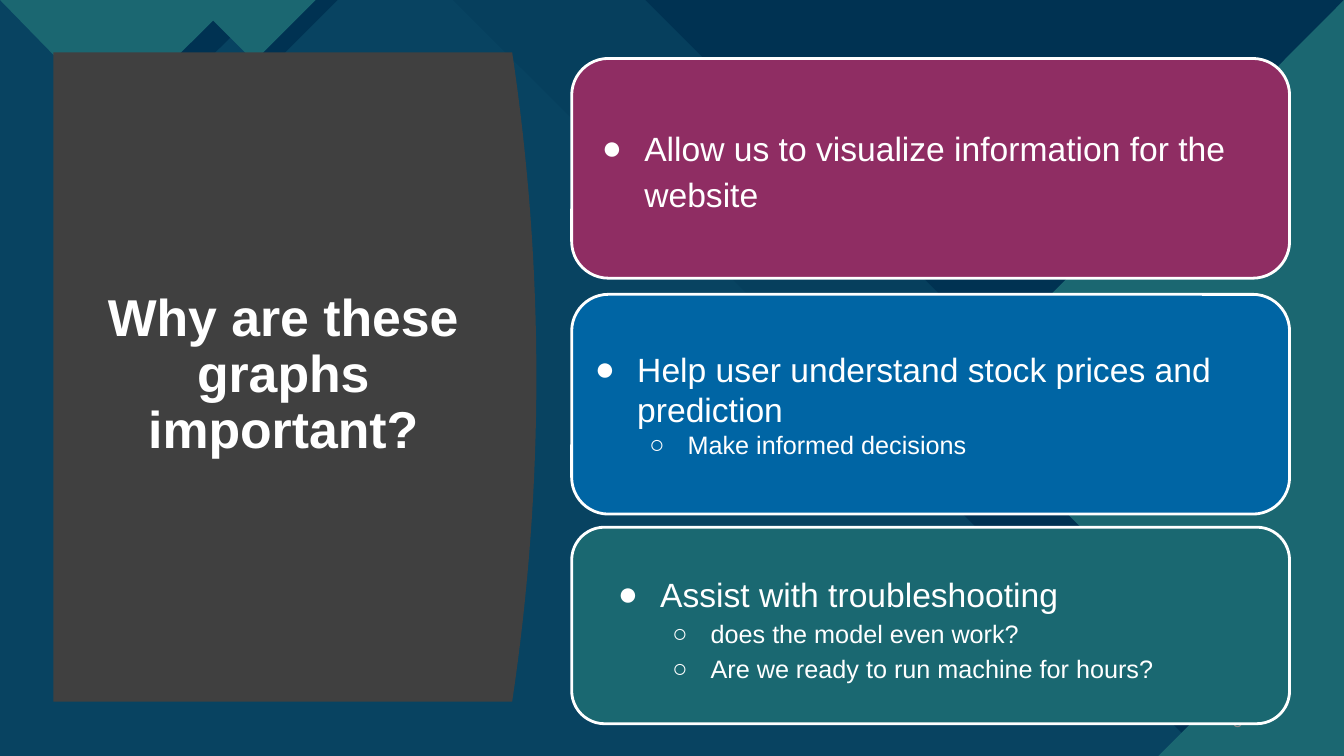
from lxml import etree
from pptx import Presentation
from pptx.dml.color import RGBColor
from pptx.enum.shapes import MSO_SHAPE as Shape
from pptx.enum.text import MSO_ANCHOR as Anchor, PP_ALIGN as Align
from pptx.oxml.ns import qn
from pptx.util import Inches, Pt

FONT = "Arial"
WIDTH, HEIGHT = 13.33, 7.5
COLORS = {
    "base": "0C4360",
    "aqua": "47C3D3",
    "navy": "003252",
    "teal": "1B6771",
    "panel": "404040",
    "plum": "8F2D63",
    "blue": "0065A4",
    "pine": "1A6871",
    "white": "FFFFFF",
    "grey": "888888",
}
BULLETS = [("●", 24, 0.5, -0.42), ("○", 18, 1, -0.38)]

BACKDROP = [
    ("aqua", 72, [(0, 0), (8.26, 0), (11.23, 2.97), (12.35, 2.97),
                  (WIDTH, 3.96), (WIDTH, HEIGHT), (0, HEIGHT)]),
    ("aqua", 100, [(0, 0), (4.49, 0), (7.46, 2.97), (8.72, 2.97),
                   (13.25, HEIGHT), (0, HEIGHT)]),
    ("navy", 100, [(6.4, 0), (WIDTH, 0), (WIDTH, 6.93)]),
    ("navy", 88, [(0, 0), (6.95, 0), (9.92, 2.97), (11.18, 2.97),
                  (WIDTH, 5.13), (WIDTH, HEIGHT), (0, HEIGHT)]),
    ("navy", 100, [(WIDTH, 0.68), (WIDTH, HEIGHT), (11.95, HEIGHT), (9.23, 4.78)]),
    ("teal", 100, [(WIDTH, 0), (WIDTH, HEIGHT), (12.99, HEIGHT), (9.42, 3.93)]),
    ("teal", 100, [(WIDTH, 5.66), (WIDTH, HEIGHT), (11.49, HEIGHT)]),
    ("navy", 100, [(2.66, 0), (1.47, 1.18), (0.29, 0)]),
    ("teal", 100, [(0, 0), (1.14, 1.17), (2.32, 0)]),
    ("navy", 100, [(3.35, 0), (2.72, 0.63), (2.09, 0)]),
    ("teal", 100, [(1.91, 0), (2.52, 0.61), (3.13, 0)]),
]

CARDS = [
    ("plum", (5.67, 0.58, 7.12, 2.18), (0.07, 0.11, 6.98, 1.96), 0.15, 1.15,
     [(0, "Allow us to visualize information for the website")]),
    ("blue", (5.67, 2.92, 7.12, 2.18), (0, 0.11, 6.98, 1.96), 0.15, 1.0,
     [(0, "Help user understand stock prices and prediction"),
      (1, "Make informed decisions")]),
    ("pine", (5.67, 5.23, 7.12, 1.95), (0.28, 0.22, 6.46, 1.51), 0.1, 1.15,
     [(0, "Assist with troubleshooting"),
      (1, "does the model even work?"),
      (1, "Are we ready to run machine for hours?")]),
]


def color(name):
    return RGBColor.from_string(COLORS[name])


def paint(shape, name, opacity=100):
    shape.shadow.inherit = False
    shape.fill.solid()
    shape.fill.fore_color.rgb = color(name)
    shape.line.fill.background()
    if opacity < 100:
        tint = shape.element.spPr.find(qn("a:solidFill"))[0]
        etree.SubElement(tint, qn("a:alpha"), val=str(opacity * 1000))


def add_polygon(page, points, name, opacity=100):
    corners = [(Inches(x), Inches(y)) for x, y in points]
    builder = page.shapes.build_freeform(*corners[0])
    builder.add_line_segments(corners[1:], close=True)
    paint(builder.convert_to_shape(), name, opacity)


def add_text_frame(page, box, margins):
    frame = page.shapes.add_textbox(*map(Inches, box)).text_frame
    frame.word_wrap = True
    frame.vertical_anchor = Anchor.MIDDLE
    side, end = map(Inches, margins)
    frame.margin_left = frame.margin_right = side
    frame.margin_top = frame.margin_bottom = end
    return frame


def add_span(para, text, size, name, bold=False):
    span = para.add_run()
    span.text = text
    span.font.name = FONT
    span.font.size = Pt(size)
    span.font.bold = bold
    span.font.color.rgb = color(name)


def set_bullet(para, level):
    symbol, _, margin, indent = BULLETS[level]
    para.level = level
    props = para._p.get_or_add_pPr()
    props.set("marL", str(Inches(margin)))
    props.set("indent", str(Inches(indent)))
    tint = etree.SubElement(props, qn("a:buClr"))
    etree.SubElement(tint, qn("a:srgbClr"), val=COLORS["white"])
    etree.SubElement(props, qn("a:buFont"), typeface=FONT)
    etree.SubElement(props, qn("a:buChar"), char=symbol)


def add_backdrop(page):
    page.background.fill.solid()
    page.background.fill.fore_color.rgb = color("base")
    for name, opacity, points in BACKDROP:
        add_polygon(page, points, name, opacity)


def add_title_panel(page, box, text):
    left, top, width, height = box
    bulge, steps = 0.24, 32
    edge = []
    for step in range(steps + 1):
        part = step / steps
        inset = bulge * (2 * part - 1) ** 2
        edge.append((left + width - inset, top + height * part))
    add_polygon(page, [(left, top), *edge, (left, top + height)], "panel")

    frame = add_text_frame(page, (left + 0.41, top + 0.59, 3.74, 5.24), (0.1, 0.05))
    para = frame.paragraphs[0]
    para.alignment = Align.CENTER
    para.line_spacing = 0.9
    add_span(para, text, 37, "white", bold=True)


def add_page_number(page, box, number):
    para = add_text_frame(page, box, (0.1, 0.05)).paragraphs[0]
    para.alignment = Align.RIGHT
    para.space_after = Pt(6)
    add_span(para, number, 12, "grey")


def add_card(page, name, box, text_box, margin, spacing, points):
    left, top, width, height = box
    card = page.shapes.add_shape(Shape.ROUNDED_RECTANGLE, *map(Inches, box))
    card.adjustments[0] = 0.167
    paint(card, name)
    card.line.color.rgb = color("white")
    card.line.width = Pt(2)

    shift, drop, text_width, text_height = text_box
    frame = add_text_frame(
        page, (left + shift, top + drop, text_width, text_height), (margin, margin))
    for index, (level, text) in enumerate(points):
        para = frame.add_paragraph() if index else frame.paragraphs[0]
        set_bullet(para, level)
        para.line_spacing = spacing
        add_span(para, text, BULLETS[level][1], "white")


def main():
    deck = Presentation()
    deck.slide_width, deck.slide_height = Inches(WIDTH), Inches(HEIGHT)
    page = deck.slides.add_slide(deck.slide_layouts[6])
    add_backdrop(page)
    add_title_panel(page, (0.53, 0.52, 4.79, 6.44), "Why are these graphs important?")
    add_page_number(page, (11.73, 6.95, 0.69, 0.4), "5")
    for card in CARDS:
        add_card(page, *card)
    deck.save("out.pptx")


if __name__ == "__main__":
    main()
